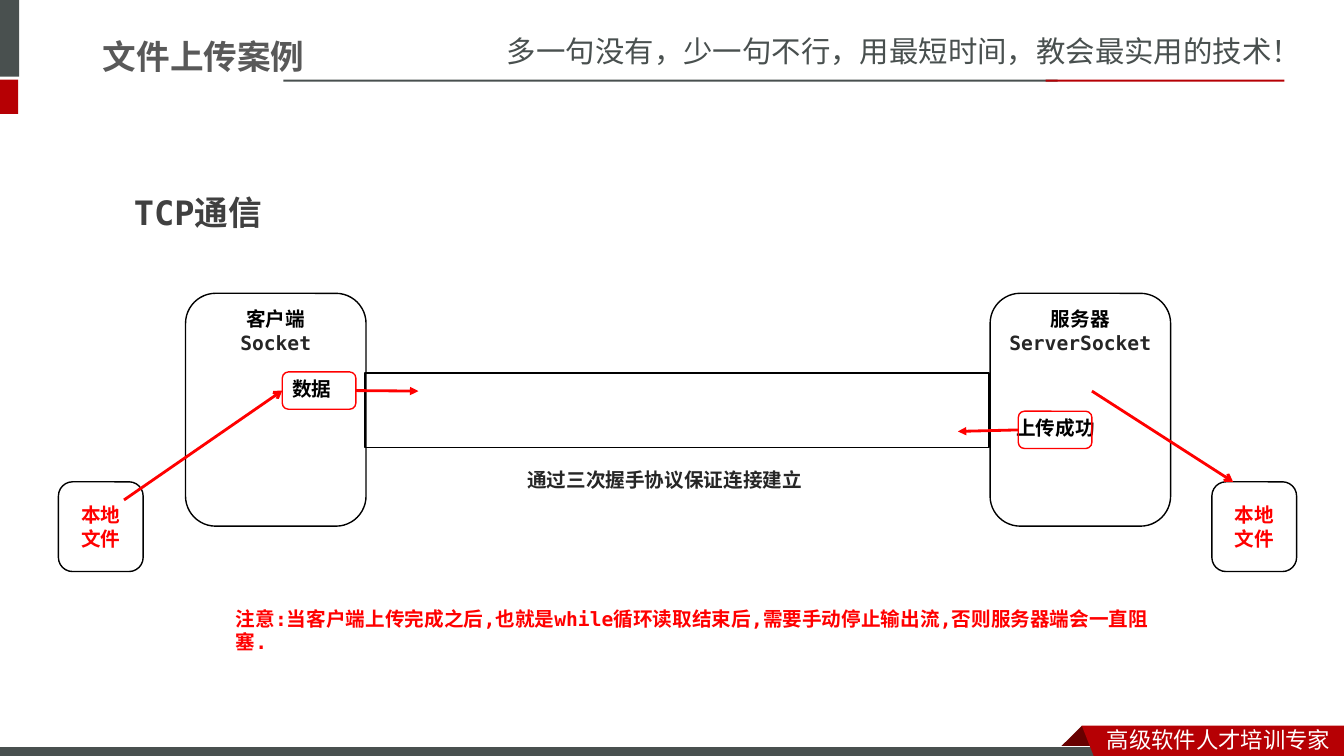
from lxml.etree import SubElement
from pptx import Presentation
from pptx.dml.color import RGBColor
from pptx.enum.shapes import MSO_CONNECTOR as Connector, MSO_SHAPE as Shape
from pptx.enum.text import MSO_ANCHOR as Anchor, PP_ALIGN as Align
from pptx.oxml.ns import qn
from pptx.util import Inches, Pt

BLACK = RGBColor(0, 0, 0)
WHITE = RGBColor(255, 255, 255)
RED = RGBColor(255, 0, 0)
INK = RGBColor(0x26, 0x26, 0x26)
HEADING = RGBColor(0x40, 0x40, 0x40)
TITLE = RGBColor(0x59, 0x59, 0x59)
SLATE = RGBColor(0x49, 0x50, 0x4F)
CRIMSON = RGBColor(0xB6, 0, 0x04)
MAROON = RGBColor(0x68, 0, 0)
MONO = "DejaVu Sans Mono"
SANS = "Noto Sans CJK SC"
TITLE_FONT = "Noto Sans CJK JP"

BARS = [
    ((-0.06, 0, 0.25, 0.76), SLATE),
    ((-0.06, 0.79, 0.24, 0.34), CRIMSON),
    ((2.81, 0.79, 7.68, 0.02), SLATE),
    ((10.37, 0.79, 2.37, 0.02), CRIMSON),
]
FOOTER_BAR = (-0.01, 7.41, 11, 0.12)
RIBBON_FOLD = [(10.73, 7.2), (10.95, 7.42), (10.94, 7.43), (10.52, 7.43), (10.51, 7.42)]
RIBBON = [(10.73, 7.2), (13.33, 7.2), (13.33, 7.54), (10.86, 7.53)]
BANNERS = [
    ("多一句没有，少一句不行，用最短时间，教会最实用的技术！", (4.93, 0.28, 8.41, 0.47), 21, SLATE),
    ("高级软件人才培训专家", (10.88, 7.15, 2.45, 0.37), 16, WHITE),
]
HOSTS = [(1.84, "客户端", "Socket"), (9.82, "服务器", "ServerSocket")]
PIPE = (3.62, 3.7, 6.19, 0.74)
CAPTION = ("通过三次握手协议保证连接建立", (5.13, 4.59, 2.95, 0.34))
BADGES = [
    ("数据", (2.8, 3.69, 0.59, 0.34), (2.8, 3.69)),
    ("上传成功", (9.98, 4.08, 0.99, 0.34), (10.1, 4.08)),
]
FILES = [0.58, 12.02]
NOTE = (
    "注意:当客户端上传完成之后,也就是while循环读取结束后,需要手动停止输出流,否则服务器端会一直阻塞.",
    (2.24, 5.97, 9.39, 0.34),
)

deck = Presentation()
deck.slide_width, deck.slide_height = Inches(13.33), Inches(7.5)
page = deck.slides.add_slide(deck.slide_layouts[5])


def inches(values):
    return [Inches(value) for value in values]


def style(para, size, color, name=MONO, bold=True, align=Align.LEFT):
    para.alignment = align
    font = para.font
    font.size, font.bold, font.name = Pt(size), bold, name
    font.color.rgb = color
    east_asian = SANS if name == MONO else name
    SubElement(para._p.pPr.find(qn("a:defRPr")), qn("a:ea"), typeface=east_asian)


def add_text(text, at, size=14, color=BLACK, name=MONO, bold=True, wrap=True):
    frame = page.shapes.add_textbox(*inches(at)).text_frame
    frame.word_wrap = wrap
    frame.text = text
    style(frame.paragraphs[0], size, color, name, bold)
    return frame.paragraphs[0]


def paint(shape, fill=None, line=None, width=1):
    shape.shadow.inherit = False
    if fill is None:
        shape.fill.background()
    else:
        shape.fill.solid()
        shape.fill.fore_color.rgb = fill
    if line is None:
        shape.line.fill.background()
    else:
        shape.line.color.rgb = line
        shape.line.width = Pt(width)
    return shape


def add_box(kind, at, **look):
    return paint(page.shapes.add_shape(kind, *inches(at)), **look)


def add_polygon(points, fill):
    corners = [inches(point) for point in points]
    builder = page.shapes.build_freeform(*corners[0])
    builder.add_line_segments(corners[1:], close=True)
    paint(builder.convert_to_shape(), fill=fill)


def add_arrow(start, end, head):
    arrow = page.shapes.add_connector(Connector.STRAIGHT, *inches(start + end))
    arrow.line.color.rgb = RED
    arrow.line.width = Pt(2)
    SubElement(arrow.line._get_or_add_ln(), qn("a:tailEnd"), type=head)
    SubElement(arrow._element.spPr, qn("a:effectLst"))
    return arrow


for at, color in BARS:
    add_box(Shape.RECTANGLE, at, fill=color)
add_polygon(RIBBON_FOLD, MAROON)
add_box(Shape.RECTANGLE, FOOTER_BAR, fill=SLATE, line=WHITE, width=0.75)
add_polygon(RIBBON, CRIMSON)
for text, at, size, color in BANNERS:
    add_text(text, at, size, color, SANS, bold=False)

title = page.shapes.title
title.left, title.top, title.width, title.height = inches((0.92, -0.03, 7.85, 1.18))
title.text_frame.text = "文件上传案例"
title.text_frame.vertical_anchor = Anchor.MIDDLE
style(title.text_frame.paragraphs[0], 24, TITLE, TITLE_FONT)

add_text("TCP通信", (1.23, 1.65, 5.12, 0.65), 24, HEADING).line_spacing = 1.5

for left, role, class_name in HOSTS:
    frame = add_box(Shape.ROUNDED_RECTANGLE, (left, 2.91, 1.79, 2.31), line=BLACK).text_frame
    frame.margin_left = frame.margin_right = 0
    frame.vertical_anchor = Anchor.TOP
    frame.text = f"{role}\n{class_name}"
    for para, color in zip(frame.paragraphs, (BLACK, INK)):
        style(para, 14, color, align=Align.CENTER)

add_box(Shape.RECTANGLE, PIPE, line=BLACK)
add_text(*CAPTION, color=INK, wrap=False)

badges = []
for text, text_at, corner in BADGES:
    add_text(text, text_at, wrap=False)
    badges.append(add_box(Shape.ROUNDED_RECTANGLE, corner + (0.73, 0.37), line=RED))
data, success = badges

for left in FILES:
    frame = add_box(Shape.ROUNDED_RECTANGLE, (left, 4.78, 0.84, 0.89), line=BLACK).text_frame
    frame.word_wrap = True
    frame.vertical_anchor = Anchor.MIDDLE
    frame.text = "本地文件"
    style(frame.paragraphs[0], 14, RED, align=Align.CENTER)

add_arrow((3.53, 3.88), (4.15, 3.88), "triangle").begin_connect(data, 3)
add_arrow((10.1, 4.28), (9.5, 4.28), "triangle").begin_connect(success, 1)
add_arrow((1.23, 4.96), (2.8, 3.88), "arrow").end_connect(data, 1)
add_arrow((10.83, 3.88), (12.23, 4.78), "arrow")

add_text(*NOTE, color=RED)

deck.save("out.pptx")
